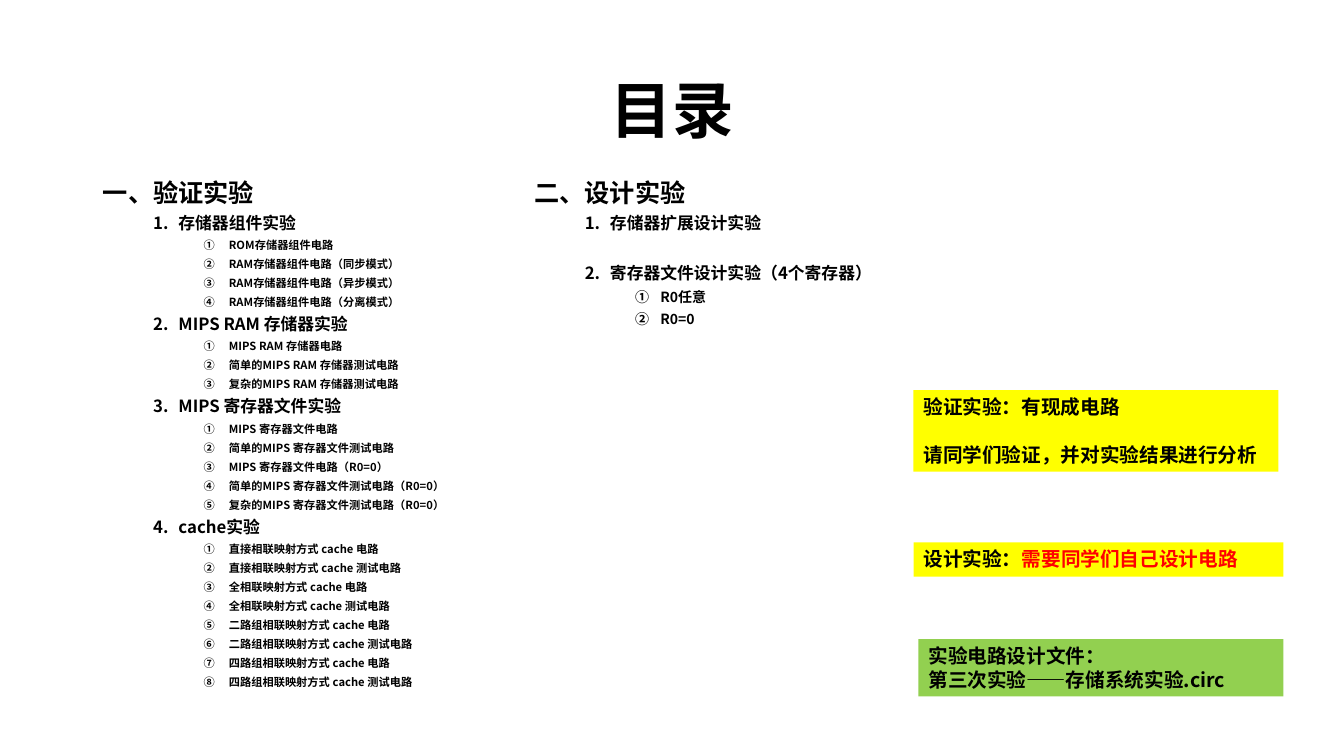
import pptx
import pptx.util
import pptx.enum.text
import pptx.enum.shapes
import pptx.oxml.ns
from lxml import etree
from pptx.dml.color import RGBColor

FONT = "Noto Sans CJK SC"
BLACK = RGBColor(0, 0, 0)
RED = RGBColor(255, 0, 0)
YELLOW = RGBColor(255, 255, 0)
GREEN = RGBColor(0x92, 0xD0, 0x50)

# Content: heading, then topics with their sub-items
TITLE = "目录"
VERIFY = ("一、验证实验", [
    ("存储器组件实验", [
        "ROM存储器组件电路",
        "RAM存储器组件电路（同步模式）",
        "RAM存储器组件电路（异步模式）",
        "RAM存储器组件电路（分离模式）"]),
    ("MIPS RAM 存储器实验", [
        "MIPS RAM 存储器电路",
        "简单的MIPS RAM 存储器测试电路",
        "复杂的MIPS RAM 存储器测试电路"]),
    ("MIPS 寄存器文件实验", [
        "MIPS 寄存器文件电路",
        "简单的MIPS 寄存器文件测试电路",
        "MIPS 寄存器文件电路（R0=0）",
        "简单的MIPS 寄存器文件测试电路（R0=0）",
        "复杂的MIPS 寄存器文件测试电路（R0=0）"]),
    ("cache实验", [
        "直接相联映射方式 cache 电路",
        "直接相联映射方式 cache 测试电路",
        "全相联映射方式 cache 电路",
        "全相联映射方式 cache 测试电路",
        "二路组相联映射方式 cache 电路",
        "二路组相联映射方式 cache 测试电路",
        "四路组相联映射方式 cache 电路",
        "四路组相联映射方式 cache 测试电路"]),
])
DESIGN = ("二、设计实验", [
    ("存储器扩展设计实验", []),
    ("寄存器文件设计实验（4个寄存器）", ["R0任意", "R0=0"]),
])

# Places: left, top, width, height in percent of the slide
HEAD = (6.9, 5.33, 86.27, 19.33)
# List: outline, place, size of sub-items, space before later topics
LISTS = [
    (VERIFY, (6.9, 23.2, 32, 74), 8, 5),
    (DESIGN, (39.01, 23.2, 28.9, 71.47), 10, 23),
]
# Note: place, fill, space between lines, lines of (text, colour) runs
NOTES = [
    ((67.97, 51.6, 27.16, 10.8), YELLOW, 17,
     [[("验证实验：有现成电路", BLACK)],
      [("请同学们验证，并对实验结果进行分析", BLACK)]]),
    ((67.97, 71.73, 27.53, 4.53), YELLOW, 0,
     [[("设计实验：", BLACK), ("需要同学们自己设计电路", RED)]]),
    ((68.34, 84.53, 27.16, 7.6), GREEN, 0,
     [[("实验电路设计文件：", BLACK)],
      [("第三次实验——存储系统实验.circ", BLACK)]]),
]

deck = pptx.Presentation()
deck.slide_width = pptx.util.Inches(13.33)
deck.slide_height = pptx.util.Inches(7.5)
slide = deck.slides.add_slide(deck.slide_layouts[3])


def scale(place):
    sides = (deck.slide_width, deck.slide_height) * 2
    return [round(side * part / 100) for side, part in zip(sides, place)]


def put(shape, place):
    shape.left, shape.top, shape.width, shape.height = scale(place)


def write(para, text, size=14, color=BLACK, before=0, line=1.0,
          align=pptx.enum.text.PP_ALIGN.LEFT):
    para.alignment = align
    para.line_spacing = line
    para.space_before = pptx.util.Pt(before)
    run = para.add_run()
    run.text = text
    font = run.font
    font.name, font.size, font.bold = FONT, pptx.util.Pt(size), True
    font.color.rgb = color
    east = etree.SubElement(run._r.get_or_add_rPr(), pptx.oxml.ns.qn("a:ea"))
    east.set("typeface", FONT)


def mark(para, level, kind=None):
    para.level = level
    props = para._p.get_or_add_pPr()
    props.set("marL", str(pptx.util.Inches(level * 0.5 + 0.25 if level else 0)))
    props.set("indent", str(pptx.util.Inches(-0.25 if level else 0)))
    tag = "a:buAutoNum" if kind else "a:buNone"
    bullet = etree.SubElement(props, pptx.oxml.ns.qn(tag))
    if kind:
        bullet.set("type", kind)


def setup(frame, anchor):
    frame.word_wrap = True
    frame.auto_size = pptx.enum.text.MSO_AUTO_SIZE.NONE
    frame.vertical_anchor = anchor


def start(frame):
    """Yield the first paragraph, then new ones."""
    yield frame.paragraphs[0]
    while True:
        yield frame.add_paragraph()


TOP = pptx.enum.text.MSO_ANCHOR.TOP

# Title
title, *bodies = slide.placeholders
put(title, HEAD)
setup(title.text_frame, pptx.enum.text.MSO_ANCHOR.MIDDLE)
write(title.text_frame.paragraphs[0], TITLE, size=44, line=0.9,
      align=pptx.enum.text.PP_ALIGN.CENTER)

# Two outlines
for body, (outline, place, small, gap) in zip(bodies, LISTS):
    put(body, place)
    setup(body.text_frame, TOP)
    paras = start(body.text_frame)
    heading, topics = outline
    para = next(paras)
    mark(para, 0)
    write(para, heading, size=18, line=0.9)
    for spot, (topic, items) in enumerate(topics):
        para = next(paras)
        mark(para, 1, "arabicPeriod")
        write(para, topic, size=12, line=0.9, before=gap if spot else 5)
        for item in items:
            para = next(paras)
            mark(para, 2, "circleNumDbPlain")
            write(para, item, size=small, line=0.9, before=5)

# Coloured notes
for place, fill, gap, lines in NOTES:
    note = slide.shapes.add_shape(
        pptx.enum.shapes.MSO_SHAPE.RECTANGLE, *scale(place))
    note.shadow.inherit = False
    note.fill.solid()
    note.fill.fore_color.rgb = fill
    note.line.fill.background()
    setup(note.text_frame, TOP)
    paras = start(note.text_frame)
    for row, runs in enumerate(lines):
        para = next(paras)
        for text, color in runs:
            write(para, text, color=color, before=gap if row else 0)

deck.save("out.pptx")
